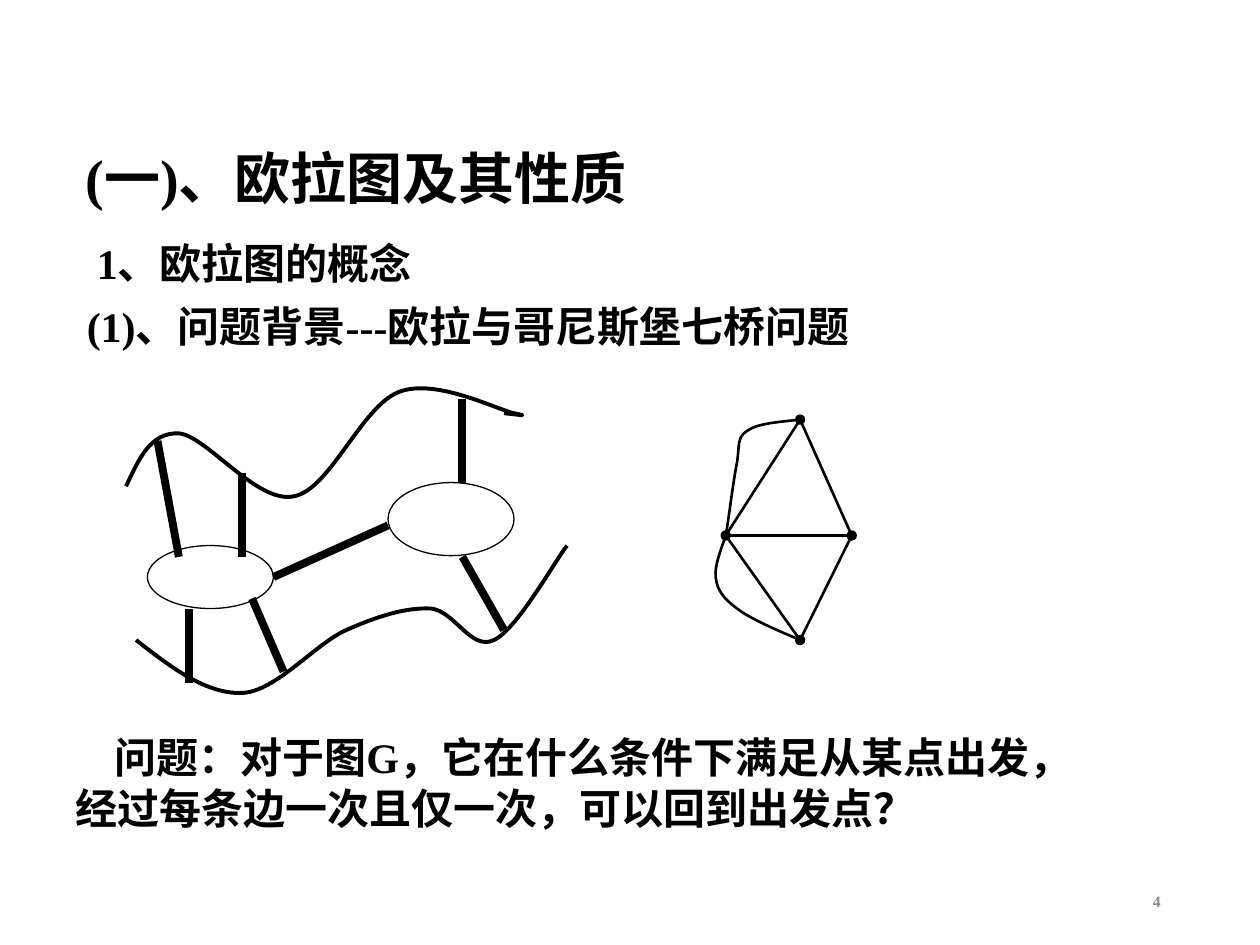
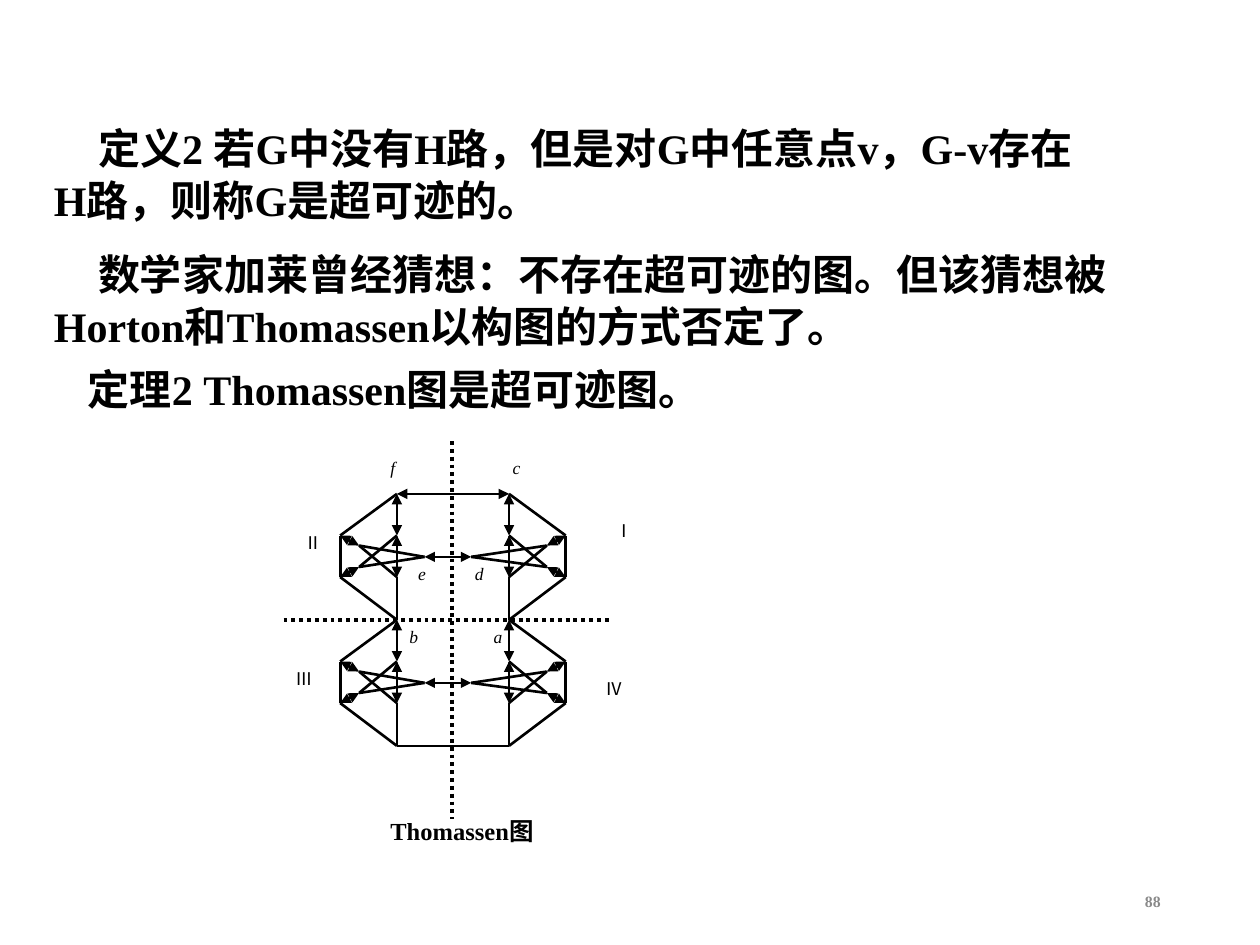
from pptx import Presentation, util as u
from pptx.dml import color
from pptx.enum import dml, shapes as kind, text as tx
from pptx.oxml import ns, xmlchemy as xml
from lxml import etree

THEME = {
    "ink": color.RGBColor(0, 0, 0),
    "paper": color.RGBColor(255, 255, 255),
    "gray": color.RGBColor(0x89, 0x89, 0x89),
    "serif": "Times New Roman",
    "sans": "Noto Sans CJK SC",
    "head": 32, "body": 24, "cap": 14, "mark": 10, "page": 9,
    "thin": 0.75, "edge": 1.5, "bank": 2.25, "bridge": 4.5,
    "lead": 1.22,
}


def apply(item, vals):
    for key, val in vals.items():
        setattr(item, key, val)


def sub(node, tag, **attrs):
    return etree.SubElement(node, ns.qn(tag), attrs)


def label(slide, words, box, size="body", face="serif", ink="ink",
          bold=True, slant=False, indent=0, fixed=False,
          align=tx.PP_ALIGN.LEFT, anchor=tx.MSO_ANCHOR.TOP):
    frame = slide.shapes.add_textbox(*map(u.Inches, box)).text_frame
    apply(frame, {"word_wrap": True, "vertical_anchor": anchor})
    para = frame.paragraphs[0]
    para.alignment = align
    if fixed:
        para.line_spacing = u.Pt(round(THEME[size] * THEME["lead"], 1))
    if indent:
        props = para._p.get_or_add_pPr()
        props.set("marL", "0")
        props.set("indent", str(u.Inches(indent)))
    run = para.add_run()
    run.text = words
    apply(run.font, {"name": THEME[face], "size": u.Pt(THEME[size]),
                     "bold": bold, "italic": slant})
    run.font.color.rgb = THEME[ink]
    sub(run._r.get_or_add_rPr(), "a:ea", typeface=THEME["sans"])


def stroke(item, width):
    item.line.color.rgb = THEME["ink"]
    item.line.width = u.Pt(THEME[width])


def line(slide, start, end, width="edge", tips=None, dash=None):
    ends = map(u.Inches, (*start, *end))
    item = slide.shapes.add_connector(kind.MSO_CONNECTOR.STRAIGHT, *ends)
    stroke(item, width)
    if dash:
        item.line.dash_style = dash
    if tips:
        for tag in ("a:headEnd", "a:tailEnd"):
            sub(item.line._get_or_add_ln(), tag, type=tips)
    sub(item._element.spPr, "a:effectLst")


def curve(slide, points, width):
    first, *rest = [tuple(map(u.Inches, point)) for point in points]
    maker = slide.shapes.build_freeform(*first)
    maker.add_line_segments(rest, close=False)
    item = maker.convert_to_shape()
    item.shadow.inherit = False
    item.fill.background()
    stroke(item, width)
    steps = list(item._element.iter(ns.qn("a:lnTo")))
    for at in range(0, len(steps), 3):
        bend = etree.Element(ns.qn("a:cubicBezTo"))
        steps[at].addprevious(bend)
        for step in steps[at:at + 3]:
            bend.append(step[0])
            step.getparent().remove(step)


def island(slide, box):
    item = slide.shapes.add_shape(kind.MSO_SHAPE.OVAL, *map(u.Inches, box))
    item.shadow.inherit = False
    item.fill.solid()
    item.fill.fore_color.rgb = THEME["paper"]
    stroke(item, "thin")


def page(deck, number):
    slide = deck.slides.add_slide(deck.slide_layouts[6])
    label(slide, number, (7.06, 6.95, 2.25, 0.4), size="page", ink="gray",
          align=tx.PP_ALIGN.RIGHT, anchor=tx.MSO_ANCHOR.MIDDLE)
    return slide


def rivers(slide):
    north = [(1, 3.86), (1.1, 3.65), (1.19, 3.43), (1.42, 3.44),
             (1.64, 3.46), (2.04, 4), (2.33, 3.94),
             (2.62, 3.89), (2.87, 3.22), (3.17, 3.11),
             (3.46, 3), (3.94, 3.25), (4.08, 3.28),
             (4.22, 3.31), (4.11, 3.29), (4, 3.28)]
    south = [(1.08, 5.08), (1.36, 5.3), (1.64, 5.51), (1.92, 5.5),
             (2.19, 5.49), (2.5, 5.11), (2.75, 5),
             (3, 4.89), (3.22, 4.82), (3.42, 4.83),
             (3.61, 4.85), (3.74, 5.17), (3.92, 5.08),
             (4.1, 5), (4.4, 4.46), (4.5, 4.33)]
    for bank in (north, south):
        curve(slide, bank, "bank")
    island(slide, (1.17, 4.33, 1, 0.5))
    island(slide, (3.08, 3.83, 1, 0.58))
    for start, end in [((1.25, 3.5), (1.42, 4.42)),
                       ((1.92, 3.75), (1.92, 4.42)),
                       ((1.5, 4.83), (1.5, 5.42)),
                       ((2, 4.75), (2.25, 5.33)),
                       ((3.67, 3.17), (3.67, 3.83)),
                       ((3.67, 4.42), (4, 5)),
                       ((2.17, 4.58), (3.08, 4.17))]:
        line(slide, start, end, "bridge")


def graph(slide):
    west, east, top, low = (5.76, 4.25), (6.76, 4.25), (6.35, 3.33), (6.35, 5.08)
    for start, end, tips in [(west, east, None), (top, west, "oval"),
                             (east, low, "oval"), (top, east, None),
                             (west, low, None)]:
        line(slide, start, end, tips=tips)
    curve(slide, [top, (6.18, 3.35), (6.01, 3.36), (5.93, 3.42),
                  (5.85, 3.47), (5.87, 3.53), (5.85, 3.67),
                  (5.82, 3.81), (5.78, 4.15), west], "edge")
    curve(slide, [west, (5.72, 4.37), (5.67, 4.49), (5.68, 4.58),
                  (5.69, 4.68), (5.74, 4.75), (5.85, 4.83),
                  (5.96, 4.92), (6.26, 5.04), low], "edge")


def thomassen(slide):
    left, right = (2.7, 2.85, 3.15, 3.37), (4.49, 4.34, 4.04, 3.74)
    rows = (0, 0.33, 0.41, 0.5, 0.58, 0.66, 1)
    plain = [((2, 0), (0, 1)), ((0, 1), (0, 5)), ((0, 5), (2, 6)),
             ((2, 5), (2, 6)), ((2, 1), (1, 4)), ((1, 2), (2, 5)),
             ((1, 2), (3, 3)), ((1, 4), (3, 3))]
    tipped = [((2, 0), (2, 1)), ((2, 1), (2, 5)),
              ((0, 1), (1, 2)), ((0, 5), (1, 4))]
    top, mid, low = 3.92, 4.92, 5.92
    for base in (top, mid):
        for cols in (left, right):
            for edges, tips in ((plain, None), (tipped, "triangle")):
                for edge in edges:
                    ends = [(cols[col], base + rows[row]) for col, row in edge]
                    line(slide, *ends, tips=tips)
        line(slide, (left[3], base + rows[3]), (right[3], base + rows[3]),
             tips="triangle")
    for rise, tips in ((top, "triangle"), (low, None)):
        line(slide, (left[2], rise), (right[2], rise), tips=tips)
    for start, end in [((3.59, 3.5), (3.59, 6.5)), ((2.25, mid), (4.86, mid))]:
        line(slide, start, end, "bank", dash=dml.MSO_LINE.ROUND_DOT)


def names(slide):
    for name, x, y in [("a", 3.82, 4.92), ("b", 3.15, 4.92), ("d", 3.67, 4.42),
                       ("e", 3.22, 4.42), ("f", 3, 3.58), ("c", 3.97, 3.58)]:
        label(slide, name, (x, y, 0.3, 0.29), "mark", bold=False, slant=True)
    for name, x, y, wide in [("Ⅰ", 4.79, 4.08, 0.3), ("Ⅱ", 2.32, 4.17, 0.35),
                             ("Ⅲ", 2.25, 5.25, 0.3), ("Ⅳ", 4.71, 5.33, 0.4)]:
        label(slide, name, (x, y, wide, 0.29), "mark", "sans", bold=False)
    label(slide, "Thomassen图", (3, 6.42, 1.57, 0.29), "cap", fixed=True)


def euler(deck):
    slide = page(deck, "4")
    label(slide, "(一)、欧拉图及其性质", (0.58, 1.08, 7.33, 0.64), "head", fixed=True)
    for words, box, indent in [
        ("1、欧拉图的概念", (0.25, 1.83, 8.25, 0.5), 0.42),
        ("(1)、问题背景---欧拉与哥尼斯堡七桥问题", (0.17, 2.33, 8.25, 0.5), 0.42),
        ("问题：对于图G，它在什么条件下满足从某点出发，经过每条边一次且仅一次，"
         "可以回到出发点？", (0.5, 5.75, 8.25, 0.9), 0.31),
    ]:
        label(slide, words, box, indent=indent, fixed=True)
    rivers(slide)
    graph(slide)


def trace(deck):
    slide = page(deck, "88")
    for words, box in [
        ("定义2 若G中没有H路，但是对G中任意点v，G-v存在H路，则称G是超可迹的。",
         (0.33, 0.92, 8.42, 0.97)),
        ("数学家加莱曾经猜想：不存在超可迹的图。但该猜想被Horton和Thomassen"
         "以构图的方式否定了。", (0.33, 1.92, 8.83, 0.97)),
        ("定理2 Thomassen图是超可迹图。", (0.25, 2.83, 8.83, 0.57)),
    ]:
        label(slide, words, box, indent=0.35, fixed=True)
    thomassen(slide)
    names(slide)


def main():
    deck = Presentation()
    apply(deck, {"slide_width": u.Inches(10), "slide_height": u.Inches(7.5)})
    euler(deck)
    trace(deck)
    deck.save("out.pptx")


if __name__ == "__main__":
    main()
